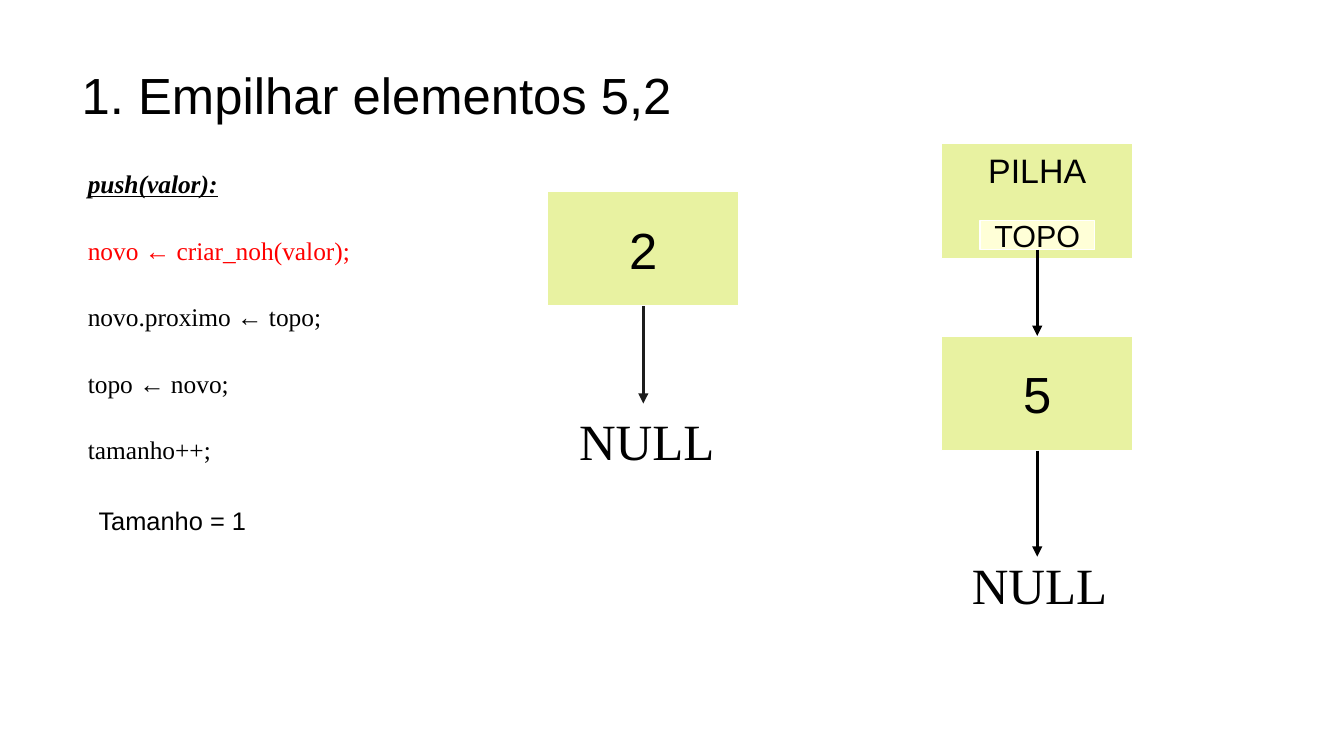
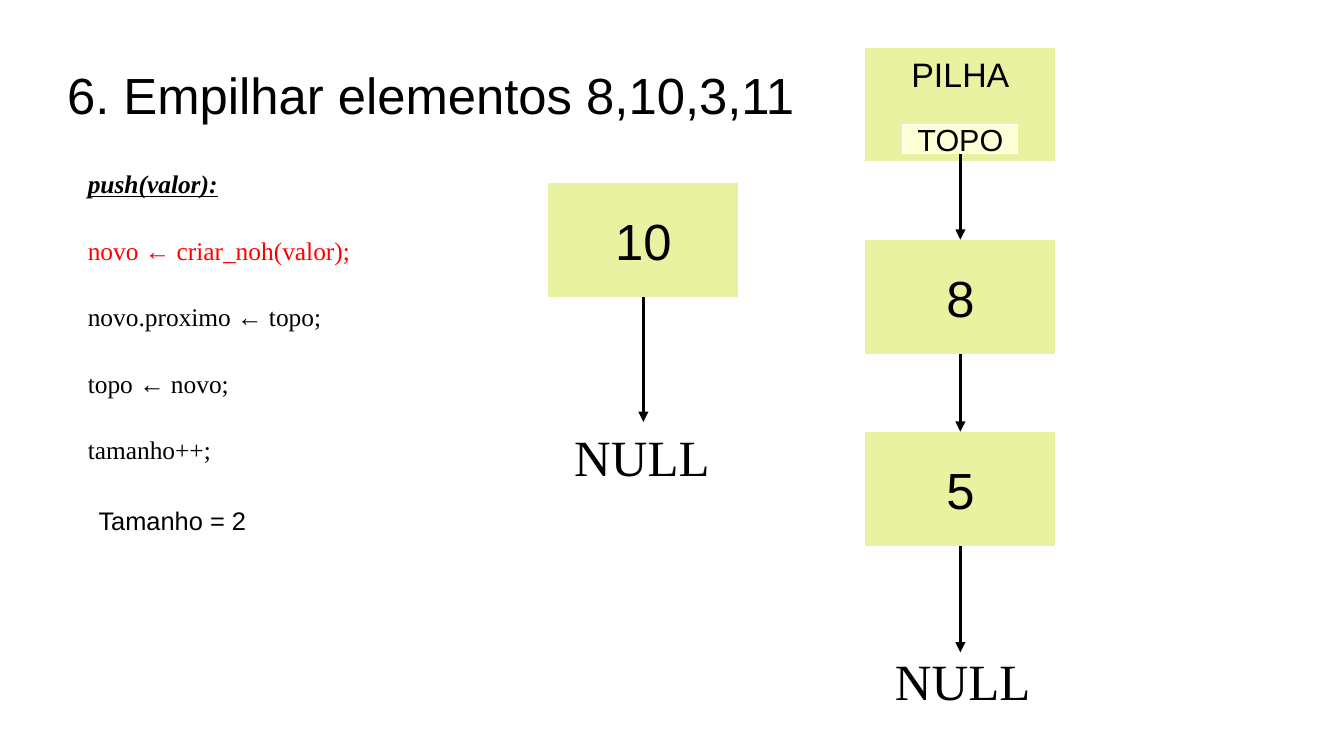
from dataclasses import dataclass

from lxml.etree import SubElement
from pptx import Presentation
from pptx.dml.color import RGBColor
from pptx.enum.shapes import MSO_CONNECTOR, MSO_SHAPE
from pptx.enum.text import MSO_ANCHOR, MSO_AUTO_SIZE, PP_ALIGN
from pptx.oxml.ns import qn
from pptx.util import Inches, Pt


@dataclass(frozen=True)
class Theme:
    """Colours, fonts, type sizes and node measures of the deck."""
    ink: str = "000000"
    soft_ink: str = "1C1C1C"
    active: str = "FF0000"
    paper: str = "FFFFFF"
    node: str = "E8F2A1"
    top: str = "FFFFD7"
    sans: str = "Arial"
    serif: str = "Times New Roman"
    large: int = 30
    heading: int = 20
    label: int = 18
    body: int = 15
    node_width: float = 1.57
    node_height: float = 0.94
    node_pitch: float = 1.575


THEME = Theme()
PUSH_STEPS = ["push(valor):", "novo ← criar_noh(valor);", "novo.proximo ← topo;",
              "topo ← novo;", "tamanho++;"]
ACTIVE_STEP = 1


def place(part, left, top, width, height):
    """Move a part to a box given in inches."""
    box = {"left": left, "top": top, "width": width, "height": height}
    for side, length in box.items():
        setattr(part, side, Inches(length))


def write(paragraph, text, size, family=THEME.sans, color=THEME.ink, **styles):
    """Add one formatted run to a paragraph."""
    run = paragraph.add_run()
    run.text = text
    formats = {"name": family, "size": Pt(size), **styles}
    for name, value in formats.items():
        setattr(run.font, name, value)
    run.font.color.rgb = RGBColor.from_string(color)


def format_frame(frame, anchor=MSO_ANCHOR.TOP, wrap=True, sides=0.1, ends=0.05):
    """Set insets, anchor and wrapping of a text frame."""
    formats = {"margin_left": Inches(sides), "margin_right": Inches(sides),
               "margin_top": Inches(ends), "margin_bottom": Inches(ends),
               "vertical_anchor": anchor, "word_wrap": wrap,
               "auto_size": MSO_AUTO_SIZE.NONE}
    for name, value in formats.items():
        setattr(frame, name, value)


def add_label(slide, box, text, size, family=THEME.sans):
    """Add a line of free text."""
    label = slide.shapes.add_textbox(*map(Inches, box))
    format_frame(label.text_frame)
    write(label.text_frame.paragraphs[0], text, size, family)


def add_block(slide, box, text, size, fill=THEME.node, anchor=MSO_ANCHOR.MIDDLE):
    """Add a filled rectangle with centred text."""
    block = slide.shapes.add_shape(MSO_SHAPE.RECTANGLE, *map(Inches, box))
    block.shadow.inherit = False
    block.fill.solid()
    block.fill.fore_color.rgb = RGBColor.from_string(fill)
    block.line.color.rgb = RGBColor.from_string(THEME.paper)
    block.line.width = Pt(0)
    format_frame(block.text_frame, anchor, wrap=False)
    paragraph = block.text_frame.paragraphs[0]
    paragraph.alignment = PP_ALIGN.CENTER
    write(paragraph, text, size)
    return block


def add_node(slide, left, top, value):
    """Add one node of the linked list."""
    return add_block(slide, (left, top, THEME.node_width, THEME.node_height),
                     value, THEME.large)


def add_pointer(slide, source, target=None, length=0, color=THEME.ink):
    """Point down from a block to another block or over a given length."""
    x = source.left + source.width // 2
    y = source.top + source.height
    pointer = slide.shapes.add_connector(
        MSO_CONNECTOR.STRAIGHT, x, y, x, y + Inches(length))
    pointer.begin_connect(source, 2)
    if target is not None:
        pointer.end_connect(target, 0)
    pointer.line.color.rgb = RGBColor.from_string(color)
    pointer.line.width = Pt(0)
    SubElement(pointer.line._get_or_add_ln(), qn("a:tailEnd"), type="triangle")
    SubElement(pointer._element.spPr, qn("a:effectLst"))


def add_null(slide, left, top):
    """Add the NULL that ends a list."""
    add_label(slide, (left, top, 1.34, 0.54), "NULL", THEME.large, THEME.serif)


def add_title(slide, text, inset):
    """Fill the title placeholder."""
    title = slide.shapes.title
    place(title, 0.55, 0.25, 9.92, 1.04)
    format_frame(title.text_frame, MSO_ANCHOR.MIDDLE, sides=0, ends=0)
    title.text_frame.margin_left = Inches(inset)
    paragraph = title.text_frame.paragraphs[0]
    paragraph.alignment = PP_ALIGN.LEFT
    write(paragraph, text, THEME.large)


def add_algorithm(slide, left, top):
    """Fill the body placeholder with the push steps."""
    algorithm = slide.placeholders[1]
    place(algorithm, left, top, 3, 2.53)
    frame = algorithm.text_frame
    format_frame(frame)
    for index, step in enumerate(PUSH_STEPS):
        paragraph = frame.add_paragraph() if index else frame.paragraphs[0]
        properties = paragraph._p.get_or_add_pPr()
        for name in ("marL", "indent"):
            properties.set(name, "0")
        SubElement(properties, qn("a:buNone"))
        paragraph.space_before = Pt(21.3 if index else 0)
        heading = index == 0
        write(paragraph, step, THEME.body, THEME.serif,
              THEME.active if index == ACTIVE_STEP else THEME.ink,
              bold=heading, italic=heading, underline=heading)


def add_new_node(slide, left, top, value, reach, null_shift, null_rise, color):
    """Draw the node just created and its pointer to NULL."""
    node = add_node(slide, left, top, value)
    add_pointer(slide, node, length=reach, color=color)
    add_null(slide, left + null_shift, top + THEME.node_height + reach - null_rise)


def add_stack(slide, left, top, values):
    """Draw the stack head, its nodes and the closing NULL."""
    add_block(slide, (left, top, THEME.node_width, THEME.node_height),
              "PILHA", THEME.heading, anchor=MSO_ANCHOR.TOP)
    previous = add_block(slide, (left + 0.315, top + 0.63, 0.94, 0.24),
                         "TOPO", THEME.label, THEME.top)
    for depth, value in enumerate(values, start=1):
        node = add_node(slide, left, top + depth * THEME.node_pitch, value)
        add_pointer(slide, previous, node)
        previous = node
    add_pointer(slide, previous, length=0.87)
    null_top = top + len(values) * THEME.node_pitch + THEME.node_height + 0.8
    add_null(slide, left + 0.15, null_top)


def add_push_slide(deck, title, title_inset, size, new_node, stack):
    """Build one step of the push walkthrough."""
    slide = deck.slides.add_slide(deck.slide_layouts[1])
    add_title(slide, title, title_inset)
    add_algorithm(slide, 0.62, 1.33)
    add_label(slide, (0.71, 4.09, 1.43, 0.33), f"Tamanho = {size}", THEME.body)
    add_new_node(slide, **new_node)
    add_stack(slide, **stack)


def main():
    """Build and save the deck."""
    deck = Presentation()
    deck.slide_width, deck.slide_height = Inches(11.02), Inches(6.2)
    add_push_slide(
        deck, "1. Empilhar elementos 5,2", 0.12, 1,
        {"left": 4.49, "top": 1.57, "value": "2", "reach": 0.8,
         "null_shift": 0.16, "null_rise": 0, "color": THEME.soft_ink},
        {"left": 7.72, "top": 1.18, "values": ["5"]})
    add_push_slide(
        deck, "6. Empilhar elementos 8,10,3,11", 0, 2,
        {"left": 4.49, "top": 1.5, "value": "10", "reach": 1.02,
         "null_shift": 0.12, "null_rise": 0.02, "color": THEME.ink},
        {"left": 7.09, "top": 0.39, "values": ["8", "5"]})
    deck.save("out.pptx")


if __name__ == "__main__":
    main()
